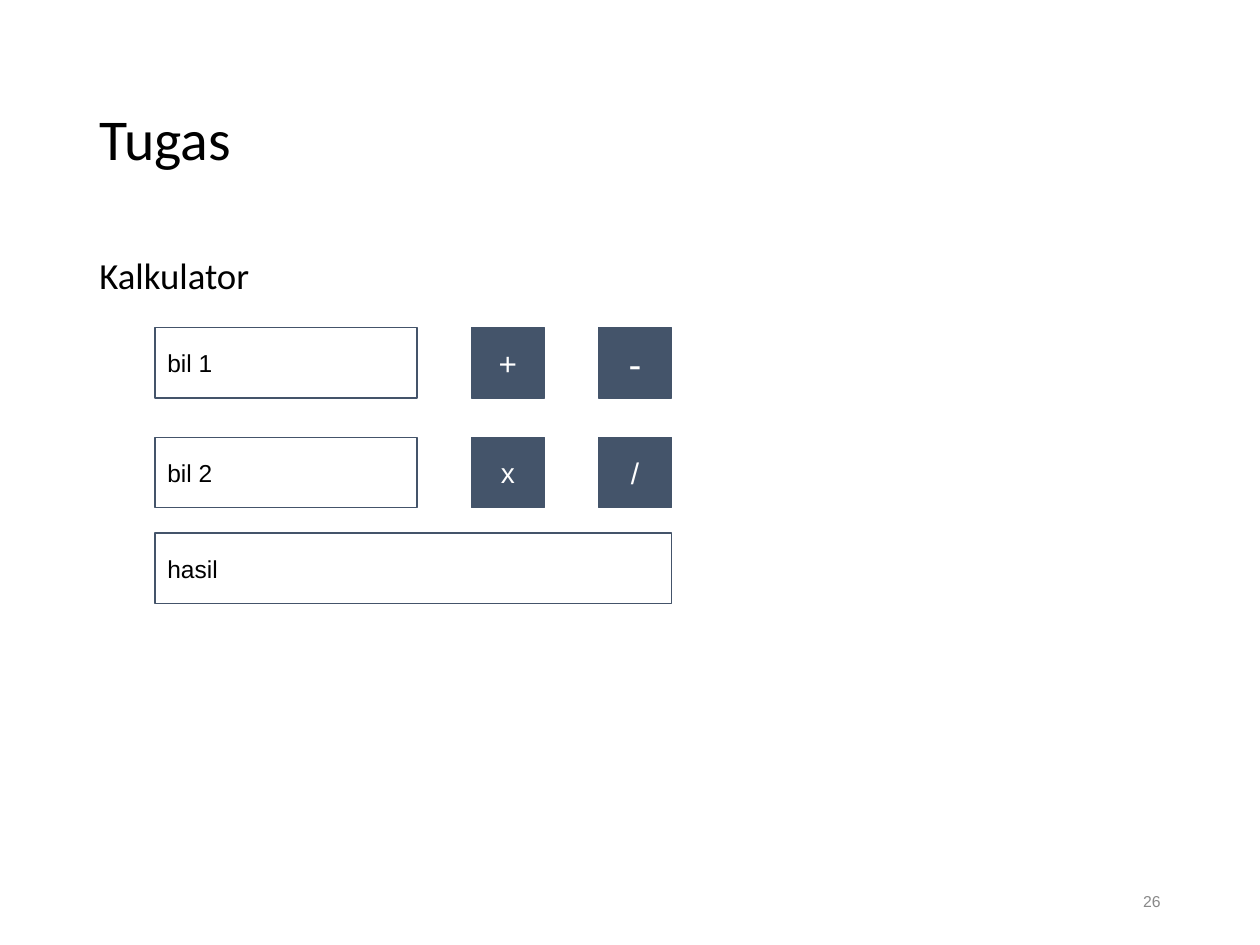
from pptx import Presentation, util as u
from pptx.dml.color import RGBColor
from pptx.enum import shapes, text

SLATE = RGBColor(0x44, 0x54, 0x6A)
BLACK = RGBColor(0, 0, 0)
WHITE = RGBColor(0xFF, 0xFF, 0xFF)
GREY = RGBColor(0x89, 0x89, 0x89)

# The slide is a square grid, 100 columns wide and 75 rows high
COLUMNS, ROWS = 100, 75
CELL = u.Inches(10) // COLUMNS


def grid(*lengths):
    return [u.Emu(round(length * CELL)) for length in lengths]


def write(holder, words, size, color, font="Arial", inset=0.05,
          anchor=text.MSO_ANCHOR.MIDDLE, **paragraph_format):
    """Put one formatted paragraph into a shape."""
    frame = holder.text_frame
    frame.text = words
    frame_format = {
        "word_wrap": True, "auto_size": text.MSO_AUTO_SIZE.NONE,
        "vertical_anchor": anchor,
        "margin_left": u.Inches(0.1), "margin_right": u.Inches(0.1),
        "margin_top": u.Inches(inset), "margin_bottom": u.Inches(inset),
    }
    for name, value in frame_format.items():
        setattr(frame, name, value)
    paragraph = frame.paragraphs[0]
    for name, value in {"alignment": text.PP_ALIGN.LEFT, **paragraph_format}.items():
        setattr(paragraph, name, value)
    letters = paragraph.runs[0].font
    for name, value in {"name": font, "size": u.Pt(size)}.items():
        setattr(letters, name, value)
    letters.color.rgb = color


def place_title(slide, box):
    title = slide.shapes.title
    for name, value in zip(("left", "top", "width", "height"), grid(*box)):
        setattr(title, name, value)
    write(title, "Tugas", 33, BLACK, "Calibri", line_spacing=0.9)


def place_body(slide, box):
    body = slide.shapes.add_textbox(*grid(*box))
    write(body, "Kalkulator", 21, BLACK, "Calibri", anchor=text.MSO_ANCHOR.TOP,
          line_spacing=0.9, space_before=u.Pt(7.5))


def place_page_number(slide, box):
    number = slide.shapes.add_textbox(*grid(*box))
    write(number, "26", 9, GREY, alignment=text.PP_ALIGN.RIGHT)


def add_key(slide, box, words, size=14, is_button=False):
    """Draw an outlined field or a filled operator button."""
    key = slide.shapes.add_shape(shapes.MSO_SHAPE.RECTANGLE, *grid(*box))
    key.shadow.inherit = False
    key.line.color.rgb = SLATE
    key.line.width = u.Pt(0.75)
    if is_button:
        key.fill.solid()
        key.fill.fore_color.rgb = SLATE
    else:
        key.fill.background()
    write(key, words, size, WHITE if is_button else BLACK, inset=0.1,
          alignment=text.PP_ALIGN.CENTER if is_button else text.PP_ALIGN.LEFT)


def place_calculator(slide, box):
    left, top, width, height = box
    key_height, row_step = 5.6, 8.7
    field_width, button_width, button_step = 20.8, 5.8, 10.1
    first_button = left + width - button_step - button_width

    # Each row: an input field, then its two operators with their text sizes
    rows = [
        ("bil 1", [("+", 18), ("-", 22)]),
        ("bil 2", [("x", 16), ("/", 17)]),
    ]
    for row, (field, operators) in enumerate(rows):
        y = top + row * row_step
        add_key(slide, (left, y, field_width, key_height), field)
        for column, (operator, size) in enumerate(operators):
            x = first_button + column * button_step
            add_key(slide, (x, y, button_width, key_height), operator, size, True)

    # Result field along the bottom edge
    add_key(slide, (left, top + height - key_height, width, key_height), "hasil")


def main():
    deck = Presentation()
    deck.slide_width, deck.slide_height = grid(COLUMNS, ROWS)
    slide = deck.slides.add_slide(deck.slide_layouts[5])
    margin = 6.9
    content_width = COLUMNS - 2 * margin
    place_title(slide, (margin, 4, content_width, 14.5))
    place_body(slide, (margin, 20, content_width, 47.6))
    place_page_number(slide, (COLUMNS - margin - 22.5, 69.5, 22.5, 4))
    place_calculator(slide, (12.3, 26, 41, 21.9))
    deck.save("out.pptx")


if __name__ == "__main__":
    main()
